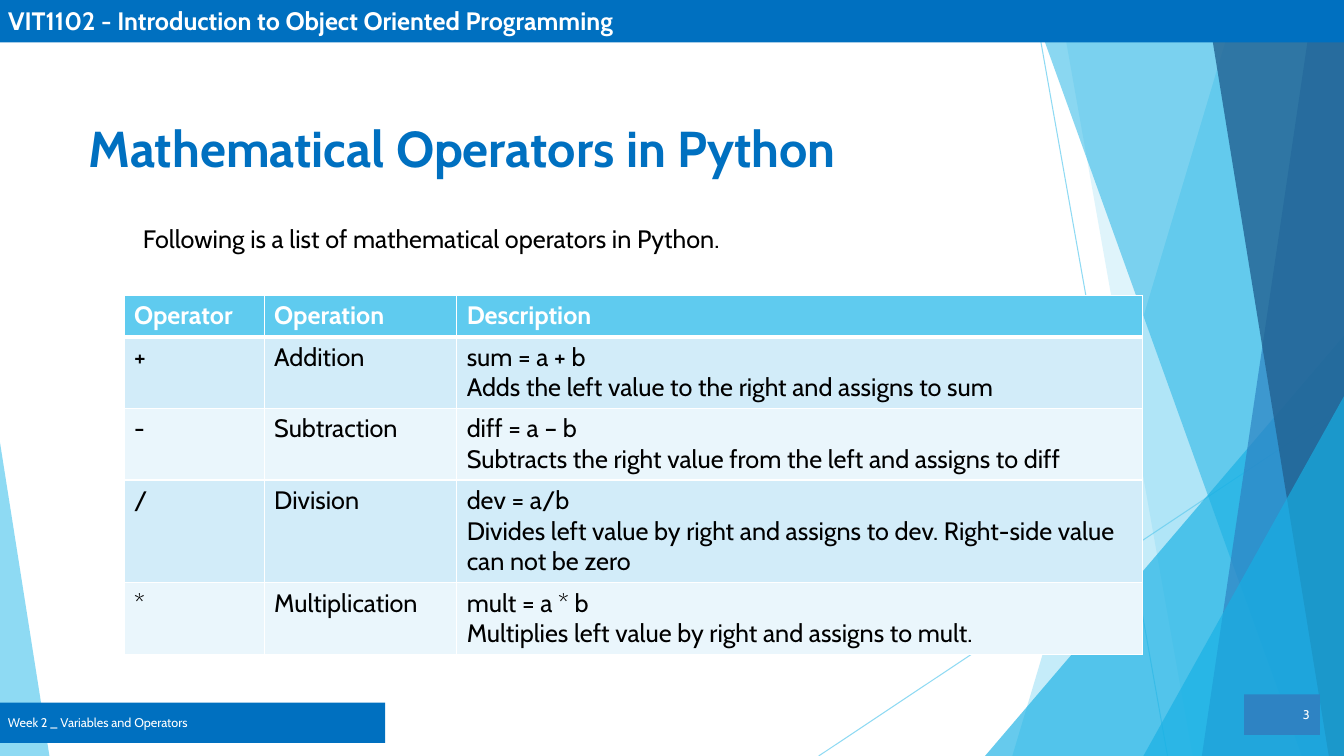
from dataclasses import dataclass

from lxml import etree
from pptx import Presentation
from pptx import util as u
from pptx.dml.color import RGBColor
from pptx.enum import shapes, text
from pptx.oxml import ns


@dataclass(frozen=True)
class Theme:
    font: str = "Cabin"
    bar: str = "0070C0"
    sky: str = "5FCBEF"
    cyan: str = "17B0E4"
    blue: str = "2E83C3"
    navy: str = "226292"
    band_dark: str = "D2ECF9"
    band_light: str = "EAF6FC"
    white: str = "FFFFFF"
    black: str = "000000"
    heading: int = 36
    body: int = 18
    small: int = 9


WIDTH, HEIGHT = 13.33, 7.5
FACET_TOP = -0.01


class SlideBuilder:
    def __init__(self, slide, theme):
        self.slide = slide
        self.theme = theme

    def place(self, shape, box):
        shape.left, shape.top, shape.width, shape.height = map(u.Inches, box)

    def set_alpha(self, fill_parent, alpha):
        color = fill_parent.find(".//" + ns.qn("a:srgbClr"))
        etree.SubElement(color, ns.qn("a:alpha"), val=str(alpha * 1000))

    def paint(self, shape, color, alpha=100):
        shape.shadow.inherit = False
        shape.fill.solid()
        shape.fill.fore_color.rgb = RGBColor.from_string(color)
        shape.line.fill.background()
        if alpha < 100:
            self.set_alpha(shape.element.spPr, alpha)

    def add_text(self, frame, lines, size, color, bold=False,
                 align=text.PP_ALIGN.LEFT, anchor=text.MSO_ANCHOR.TOP):
        frame.word_wrap = True
        frame.vertical_anchor = anchor
        for index, line in enumerate(lines):
            paragraph = frame.paragraphs[0] if index == 0 else frame.add_paragraph()
            paragraph.alignment = align
            run = paragraph.add_run()
            run.text = line
            run.font.name = self.theme.font
            run.font.size = u.Pt(size)
            run.font.bold = bold
            run.font.color.rgb = RGBColor.from_string(color)

    def thin_line(self, start, end):
        connector = self.slide.shapes.add_connector(
            shapes.MSO_CONNECTOR.STRAIGHT, *map(u.Inches, start + end))
        connector.line.width = u.Pt(0.75)
        connector.line.color.rgb = RGBColor.from_string(self.theme.sky)
        properties = connector.element.spPr
        self.set_alpha(properties, 70)
        etree.SubElement(properties, ns.qn("a:effectLst"))

    def facet(self, top_x, bottom_x, color, alpha):
        corners = [(top_x, FACET_TOP), (WIDTH, FACET_TOP), (WIDTH, HEIGHT), (bottom_x, HEIGHT)]
        points = [(u.Inches(x), u.Inches(y)) for x, y in corners]
        builder = self.slide.shapes.build_freeform(*points[0])
        builder.add_line_segments(points[1:], close=True)
        self.paint(builder.convert_to_shape(), color, alpha)

    def triangle(self, box, apex, color, alpha):
        shape = self.slide.shapes.add_shape(
            shapes.MSO_SHAPE.ISOSCELES_TRIANGLE, *map(u.Inches, box))
        shape.adjustments[0] = apex
        self.paint(shape, color, alpha)

    def title_bar(self, box, words):
        title = self.slide.shapes.title
        self.place(title, box)
        title.fill.solid()
        title.fill.fore_color.rgb = RGBColor.from_string(self.theme.bar)
        title.element.getparent().append(title.element)
        self.add_text(title.text_frame, [words], self.theme.body, self.theme.white, True)
        title.text_frame.auto_size = text.MSO_AUTO_SIZE.NONE

    def label(self, box, words, size, color, bold=False):
        shape = self.slide.shapes.add_textbox(*map(u.Inches, box))
        self.add_text(shape.text_frame, [words], size, color, bold)

    def footer_box(self, box, words, color, align):
        shape = self.slide.shapes.add_shape(shapes.MSO_SHAPE.RECTANGLE, *map(u.Inches, box))
        self.paint(shape, color)
        self.add_text(shape.text_frame, [words], self.theme.small, self.theme.white,
                      align=align, anchor=text.MSO_ANCHOR.MIDDLE)

    def border(self, cell, side, width):
        line = etree.SubElement(cell._tc.get_or_add_tcPr(), ns.qn("a:" + side),
                                w=str(u.Pt(width)))
        fill = etree.SubElement(line, ns.qn("a:solidFill"))
        etree.SubElement(fill, ns.qn("a:srgbClr"), val=self.theme.white)

    def table(self, left, top, widths, heights, rows):
        theme = self.theme
        box = (left, top, sum(widths), sum(heights))
        table = self.slide.shapes.add_table(
            len(rows), len(widths), *map(u.Inches, box)).table
        for column, width in zip(table.columns, widths):
            column.width = u.Inches(width)
        for r, (height, row) in enumerate(zip(heights, rows)):
            table.rows[r].height = u.Inches(height)
            header = r == 0
            fill = theme.sky if header else (theme.band_light, theme.band_dark)[r % 2]
            for c, lines in enumerate(row):
                cell = table.cell(r, c)
                for side in ("lnL", "lnR", "lnT", "lnB"):
                    thick = (r, side) in ((0, "lnB"), (1, "lnT"))
                    self.border(cell, side, 3 if thick else 1)
                cell.fill.solid()
                cell.fill.fore_color.rgb = RGBColor.from_string(fill)
                self.add_text(cell.text_frame, lines.split("\n"), theme.body,
                              theme.white if header else theme.black, header)


OPERATORS = [
    ("Operator", "Operation", "Description"),
    ("+", "Addition", "sum = a + b\nAdds the left value to the right and assigns to sum"),
    ("-", "Subtraction",
     "diff = a – b\nSubtracts the right value from the left and assigns to diff"),
    ("/", "Division",
     "dev = a/b\nDivides left value by right and assigns to dev. "
     "Right-side value can not be zero"),
    ("*", "Multiplication",
     "mult = a * b\nMultiplies left value by right and assigns to mult."),
]


def main():
    theme = Theme()
    presentation = Presentation()
    presentation.slide_width = u.Inches(WIDTH)
    presentation.slide_height = u.Inches(HEIGHT)
    slide = presentation.slides.add_slide(presentation.slide_layouts[5])
    builder = SlideBuilder(slide, theme)

    builder.thin_line((10.25, 0), (11.58, HEIGHT))
    builder.thin_line((WIDTH, 4.03), (8.12, HEIGHT))
    builder.facet(12.28, 10.04, theme.sky, 36)
    builder.facet(10.5, 11.83, theme.sky, 20)
    builder.triangle((9.77, 3.33, 3.56, 4.17), 1, theme.cyan, 66)
    builder.facet(10.21, 12.91, theme.cyan, 50)
    builder.facet(13.03, 11.92, theme.blue, 70)
    builder.facet(11.96, 13.18, theme.navy, 80)
    builder.triangle((11.34, 3.93, 1.99, 3.57), 1, theme.cyan, 66)
    builder.triangle((0, 4.39, 0.49, 3.11), 0, theme.sky, 70)

    builder.title_bar((-0.02, 0, WIDTH + 0.02, 0.42),
                      "VIT1102 - Introduction to Object Oriented Programming")
    builder.table(1.23, 2.93, (1.39, 1.91, 6.8), (0.41, 0.71, 0.71, 1.02, 0.71), OPERATORS)
    builder.label((0.78, 1.11, 9.65, 0.71), "Mathematical Operators in Python",
                  theme.heading, theme.bar, True)
    builder.footer_box((-0.02, 6.97, 3.84, 0.4), "Week 2 _ Variables and Operators",
                       theme.bar, text.PP_ALIGN.LEFT)
    builder.label((1.32, 2.17, 8.5, 0.4),
                  "Following is a list of mathematical operators in Python.",
                  theme.body, theme.black)
    builder.footer_box((12.34, 6.89, 0.75, 0.4), "3", theme.blue, text.PP_ALIGN.RIGHT)

    presentation.save("out.pptx")


if __name__ == "__main__":
    main()
